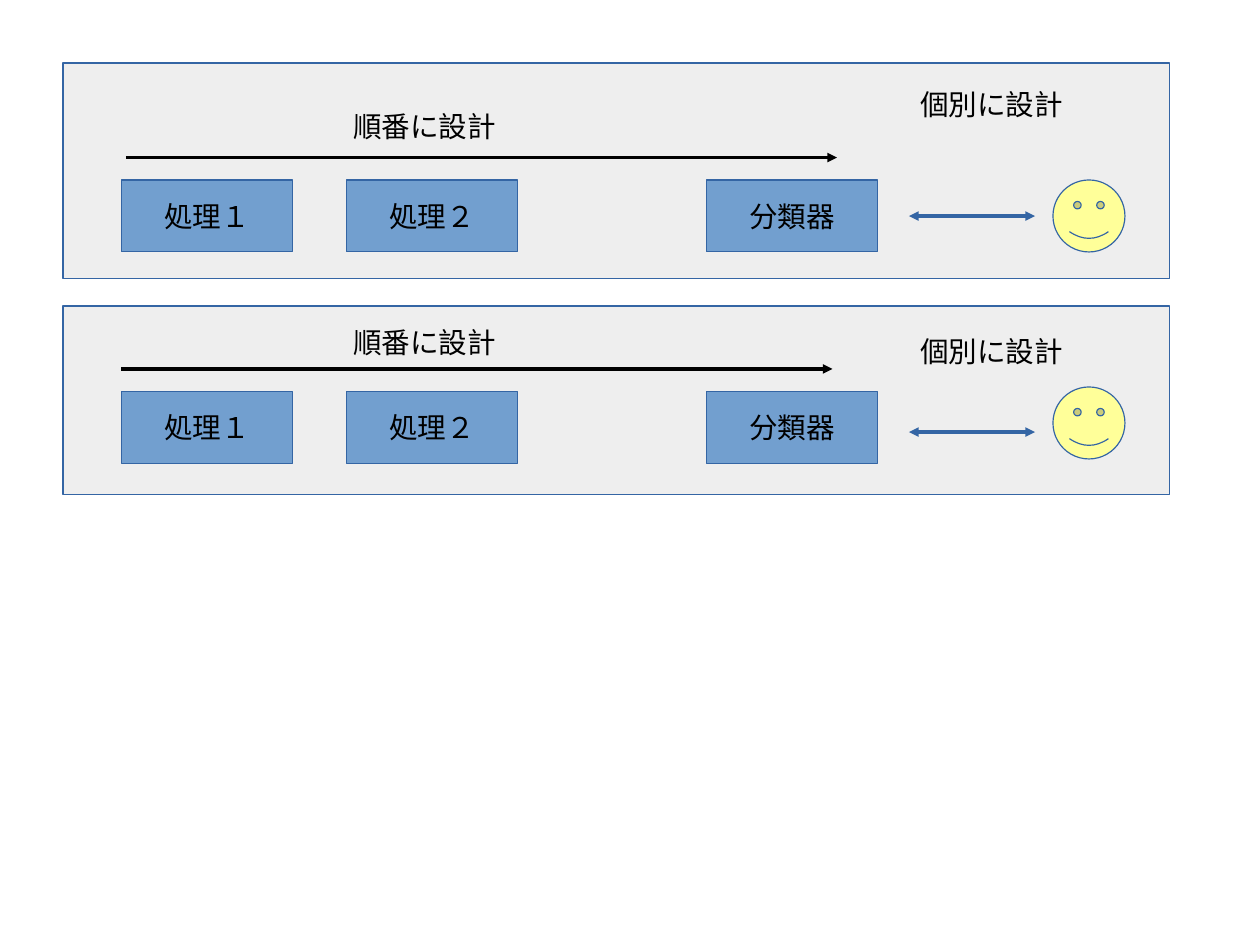
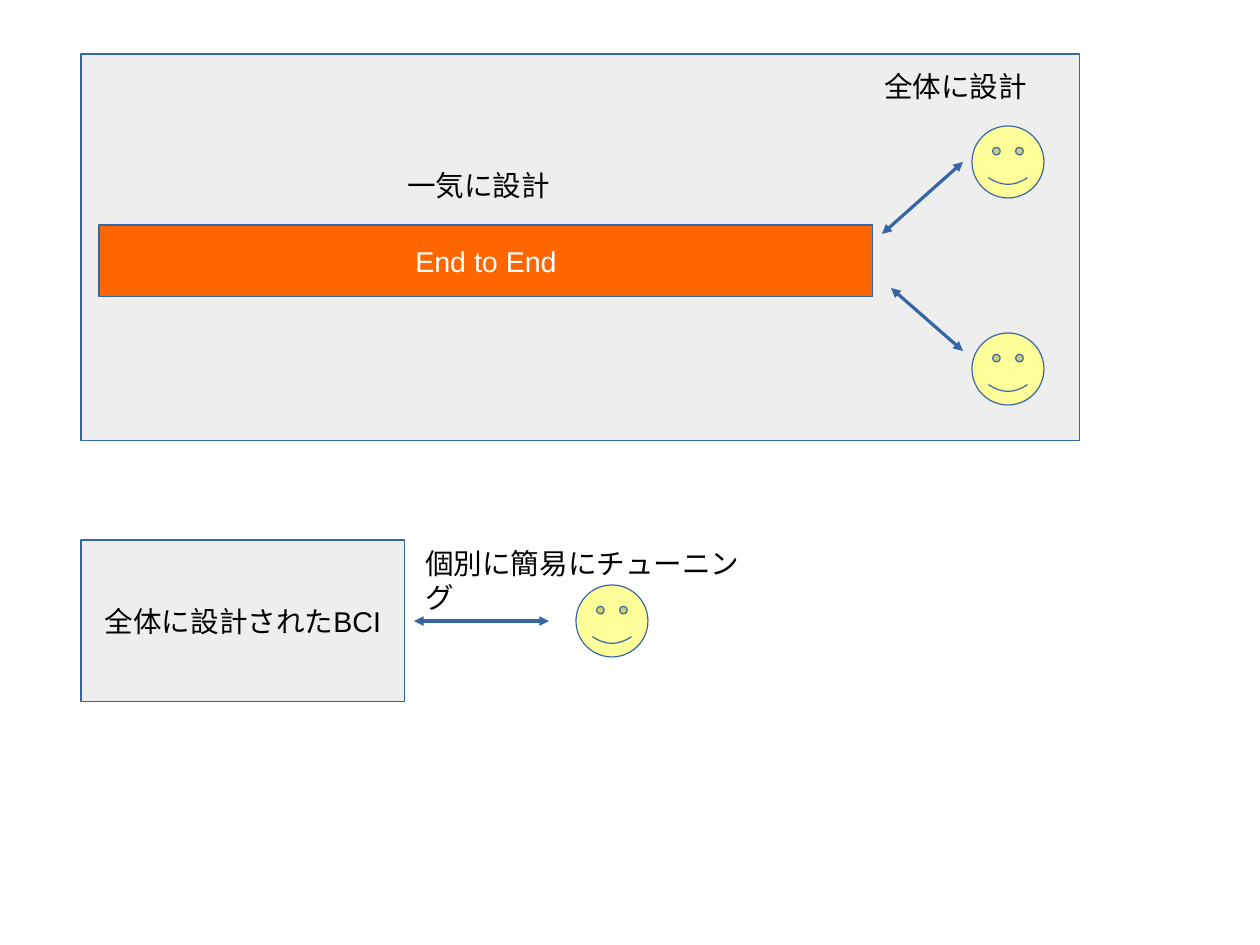
from lxml import etree
from pptx import Presentation
from pptx.dml.color import RGBColor
from pptx.enum.shapes import MSO_CONNECTOR, MSO_SHAPE
from pptx.enum.text import MSO_ANCHOR, MSO_AUTO_SIZE, PP_ALIGN
from pptx.oxml.ns import qn
from pptx.util import Cm, Pt

RECT, SMILE = MSO_SHAPE.RECTANGLE, MSO_SHAPE.SMILEY_FACE
LINE = MSO_CONNECTOR.STRAIGHT
CENTER, MIDDLE = PP_ALIGN.CENTER, MSO_ANCHOR.MIDDLE
GROW = MSO_AUTO_SIZE.SHAPE_TO_FIT_TEXT
FONT, SIZE = "Arial", 18
GREY, BLUE, EDGE = "EEEEEE", "729FCF", "3465A4"
ORANGE, YELLOW = "FF6600", "FFFF99"
BLACK, WHITE = "000000", "FFFFFF"
BOX_W, UNIT = 3.8, 1.6
STEPS = ((1.3, "処理１"), (6.3, "処理２"), (14.3, "分類器"))


def color(code):
    """Turn a hex string into a colour."""
    return RGBColor.from_string(code)


def style(par, ink):
    """Set the shared font on a paragraph."""
    par.font.name, par.font.size = FONT, Pt(SIZE)
    par.font.color.rgb = color(ink)


def shape(slide, kind, x, y, w, h, fill):
    """Add a filled shape with the shared thin edge."""
    item = slide.shapes.add_shape(kind, Cm(x), Cm(y), Cm(w), Cm(h))
    item.shadow.inherit = False
    item.fill.solid()
    item.fill.fore_color.rgb = color(fill)
    item.line.color.rgb = color(EDGE)
    item.line.width = Pt(0)
    return item


def box(slide, x, y, w, h, fill, text, ink=BLACK):
    """Add a rectangle with centred text."""
    frame = shape(slide, RECT, x, y, w, h, fill).text_frame
    frame.word_wrap = False
    frame.vertical_anchor = MIDDLE
    par = frame.paragraphs[0]
    par.text, par.alignment = text, CENTER
    style(par, ink)


def face(slide, x, y):
    """Add a smiling user."""
    shape(slide, SMILE, x, y, UNIT, UNIT, YELLOW).adjustments[0] = 0.093


def label(slide, x, y, w, text, h=1.17):
    """Add a wrapped caption."""
    frame = slide.shapes.add_textbox(Cm(x), Cm(y), Cm(w), Cm(h)).text_frame
    frame.word_wrap = True
    frame.auto_size = GROW
    par = frame.paragraphs[0]
    par.text = text
    style(par, BLACK)


def arrow(slide, x1, y1, x2, y2, ink=EDGE, ends=("headEnd", "tailEnd")):
    """Add a thin line with arrowheads at the named ends."""
    item = slide.shapes.add_connector(LINE, Cm(x1), Cm(y1), Cm(x2), Cm(y2))
    item.line.color.rgb = color(ink)
    item.line.width = Pt(0)
    props = item.line._get_or_add_ln()
    for end in ends:
        etree.SubElement(props, qn("a:" + end), type="triangle")
    etree.SubElement(item._element.spPr, qn("a:effectLst"))


def chain(slide, x, y, h, title, flow, row, user, link, tag):
    """Draw a panel of steps designed in order for one user."""
    shape(slide, RECT, x, y, 24.6, h, GREY)
    label(slide, x + 6.2, y + title, 8.8, "順番に設計")
    line = y + row - 0.5
    arrow(slide, x + flow, line, x + flow + 15.8, line, BLACK, ("tailEnd",))
    for left, name in STEPS:
        box(slide, x + left, y + row, BOX_W, UNIT, BLUE, name)
    arrow(slide, x + 18.8, y + link, x + 21.6, y + link)
    face(slide, x + 22, y + user)
    label(slide, x + 18.8, y + tag, 5.6, "個別に設計")


def whole(slide, x, y):
    """Draw the panel designed at once for all users."""
    shape(slide, RECT, x, y, 22.2, 8.6, GREY)
    box(slide, x + 0.4, y + 3.8, 17.2, UNIT, ORANGE, "End to End", WHITE)
    label(slide, x + 7, y + 2.4, 5.6, "一気に設計")
    label(slide, x + 17.6, y + 0.2, 4.4, "全体に設計")
    for top in (1.6, 6.2):
        face(slide, x + 19.8, y + top)
    arrow(slide, x + 19.6, y + 2.4, x + 17.8, y + 4)
    arrow(slide, x + 18, y + 5.2, x + 19.6, y + 6.6)


def tune(slide, x, y):
    """Draw the shared system tuned for one user."""
    box(slide, x, y, 7.2, 3.6, GREY, "全体に設計されたBCI")
    face(slide, x + 11, y + 1)
    arrow(slide, x + 7.4, y + 1.8, x + 10.4, y + 1.8)
    label(slide, x + 7.4, y, 7.8, "個別に簡易にチューニング", 2.08)


def main():
    """Build and save both slides."""
    deck = Presentation()
    deck.slide_width, deck.slide_height = Cm(28), Cm(21)
    blank = deck.slide_layouts[6]
    first, second = [deck.slides.add_slide(blank) for _ in range(2)]
    chain(first, 1.4, 1.4, 4.8, title=0.9, flow=1.4, row=2.6,
          user=2.6, link=3.4, tag=0.4)
    chain(first, 1.4, 6.8, 4.2, title=0.3, flow=1.3, row=1.9,
          user=1.8, link=2.8, tag=0.5)
    whole(second, 1.8, 1.2)
    tune(second, 1.8, 12)
    deck.save("out.pptx")


if __name__ == "__main__":
    main()
